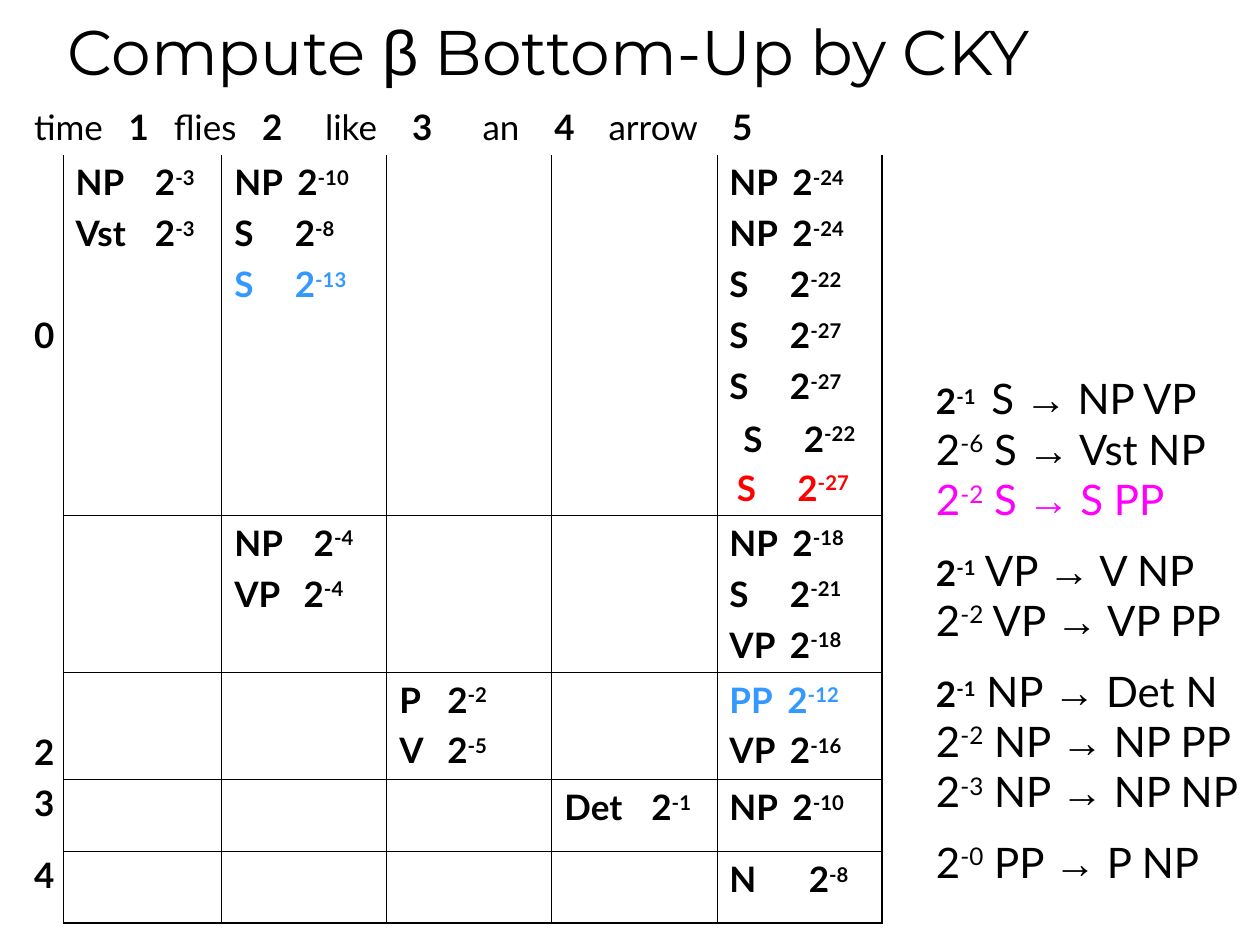
from dataclasses import dataclass
from typing import Optional

from lxml.etree import SubElement
from pptx import Presentation
from pptx.dml.color import RGBColor as Rgb
from pptx.enum.text import MSO_ANCHOR as Anchor, MSO_AUTO_SIZE as AutoSize, PP_ALIGN as Align
from pptx.oxml.ns import qn
from pptx.util import Inches, Pt

COLORS = {"black": "000000", "blue": "3399FF", "red": "FF0000", "magenta": "FF00FF"}
SLIDE_WIDTH, SLIDE_HEIGHT = Inches(10), Inches(7.5)
COLUMN_SHARES = [3.3, 12.6] + [13.1] * 4
ROW_SHARES = [5.87, 38.13, 16.53, 11.2, 7.6, 7.53]
THIN, THICK = 0.45, 1.08


@dataclass(frozen=True)
class Entry:
    symbol: str
    exponent: int
    stop: float = 0.48
    color: str = "black"
    indent: float = 0


@dataclass(frozen=True)
class Rule:
    exponent: str
    left: str
    right: str
    strong: bool = False
    color: str = "black"
    spacing: Optional[float] = None
    lead: str = " "


WORDS = [("time", 0), ("1", 0.75), ("flies", 1.11), ("2", 1.81), ("like", 2.31),
         ("3", 3.0), ("an", 3.56), ("4", 4.13), ("arrow", 4.56), ("5", 5.54)]

LABELS = {1: ("0", 1.26), 3: ("2", 0.47), 4: ("3", 0.02), 5: ("4", 0.02)}

CHART = {
    (1, 1): [Entry("NP", -3, 0.63), Entry("Vst", -3, 0.63)],
    (1, 2): [Entry("NP", -10, 0.5), Entry("S", -8), Entry("S", -13, color="blue")],
    (1, 5): [Entry("NP", -24, 0.5), Entry("NP", -24, 0.5), Entry("S", -22),
             Entry("S", -27), Entry("S", -27), Entry("S", -22, indent=0.11)],
    (2, 2): [Entry("NP", -4, 0.63), Entry("VP", -4, 0.55)],
    (2, 5): [Entry("NP", -18, 0.5), Entry("S", -21), Entry("VP", -18)],
    (3, 3): [Entry("P", -2, 0.38), Entry("V", -5, 0.38)],
    (3, 5): [Entry("PP", -12, 0.46, "blue"), Entry("VP", -16)],
    (4, 4): [Entry("Det", -1, 0.69)],
    (4, 5): [Entry("NP", -10, 0.5)],
    (5, 5): [Entry("N", -8, 0.63)],
}

RULES = [
    Rule("-1", "S", "NP VP", strong=True, lead="\t"),
    Rule("-6", "S", "Vst NP"),
    Rule("-2", "S", "S PP", color="magenta"),
    Rule("-1", "VP", "V NP", strong=True, spacing=1.4),
    Rule("-2", "VP", "VP PP"),
    Rule("-1", "NP", "Det N", strong=True, spacing=1.4),
    Rule("-2", "NP", "NP PP"),
    Rule("-3", "NP", "NP NP"),
    Rule("-0", "PP", "P NP", spacing=1.4),
]


def add_span(para, text: str, *, size: float = 20, font: str = "Lato", color: str = "black",
             bold: bool = False, raised: bool = False) -> None:
    """Append formatted text to a paragraph."""
    span = para.add_run()
    span.text = text
    span.font.size, span.font.name, span.font.bold = Pt(size), font, bold
    span.font.color.rgb = Rgb.from_string(COLORS[color])
    if raised:
        span.font._element.set("baseline", "30000")


def set_stops(para, stops: list[float]) -> None:
    """Give a paragraph left tab stops, in inches."""
    tabs = SubElement(para._p.get_or_add_pPr(), qn("a:tabLst"))
    for stop in stops:
        SubElement(tabs, qn("a:tab"), pos=str(Inches(stop)), algn="l")


def next_para(frame, index: int):
    """Return the first paragraph or a new one."""
    return frame.add_paragraph() if index else frame.paragraphs[0]


def add_box(page, left: float, top: float, width: float, height: float):
    """Add a wrapping text box placed in percent of the slide."""
    box = page.shapes.add_textbox(
        int(SLIDE_WIDTH * left / 100), int(SLIDE_HEIGHT * top / 100),
        int(SLIDE_WIDTH * width / 100), int(SLIDE_HEIGHT * height / 100))
    box.text_frame.word_wrap = True
    return box.text_frame


def write_entry(para, entry: Entry) -> None:
    """Write a symbol and its power of two."""
    stops = [entry.indent] if entry.indent else []
    set_stops(para, stops + [entry.indent + entry.stop])
    lead = "\t" if entry.indent else ""
    add_span(para, f"{lead}{entry.symbol}\t2", bold=True, color=entry.color)
    add_span(para, str(entry.exponent), bold=True, color=entry.color, raised=True)


def write_rule(para, rule: Rule) -> None:
    """Write a weighted grammar rule."""
    if rule.spacing:
        para.line_spacing = rule.spacing
    if rule.lead == "\t":
        set_stops(para, [0.44])
    weight = {"size": 20 if rule.strong else 24, "bold": rule.strong, "color": rule.color}
    add_span(para, "2", **weight)
    add_span(para, rule.exponent, raised=True, **weight)
    add_span(para, f"{rule.lead}{rule.left} ", size=24, color=rule.color)
    add_span(para, "→", size=24, font="Arial", color=rule.color)
    add_span(para, f" {rule.right}", size=24, color=rule.color)


def set_borders(cell, row: int, column: int) -> None:
    """Rule the chart cells and leave headings open."""
    inside = row > 0 and column > 0
    widths = {
        "L": THIN if inside else 0,
        "R": (THICK if column == 5 else THIN) if row else 0,
        "T": THIN if inside and row > 1 else 0,
        "B": (THICK if row == 5 else THIN) if inside else 0,
    }
    props = cell._tc.get_or_add_tcPr()
    for side, width in widths.items():
        line = SubElement(props, qn(f"a:ln{side}"), w=str(Pt(width)))
        if width:
            fill = SubElement(line, qn("a:solidFill"))
            SubElement(fill, qn("a:srgbClr"), val=COLORS["black"])
        else:
            SubElement(line, qn("a:noFill"))
    cell.fill.background()


def add_parse_table(page) -> None:
    """Add the table of spans with its words and labels."""
    widths = [int(SLIDE_WIDTH * share / 100) for share in COLUMN_SHARES]
    heights = [int(SLIDE_HEIGHT * share / 100) for share in ROW_SHARES]
    table = page.shapes.add_table(len(heights), len(widths), Inches(0.17), Inches(0.79),
                                  sum(widths), sum(heights)).table
    table.first_row = table.horz_banding = False
    for column, width in enumerate(widths):
        table.columns[column].width = width
    for row, height in enumerate(heights):
        table.rows[row].height = height
        for column in range(len(widths)):
            cell = table.cell(row, column)
            set_borders(cell, row, column)
            for index, entry in enumerate(CHART.get((row, column), [])):
                para = next_para(cell.text_frame, index)
                if index:
                    para.space_before = Pt(6 if entry.indent else 5)
                write_entry(para, entry)
    for row, (label, margin) in LABELS.items():
        cell = table.cell(row, 0)
        cell.margin_top = Inches(margin)
        para = cell.text_frame.paragraphs[0]
        para.alignment = Align.CENTER
        add_span(para, label, bold=True)
    table.cell(0, 0).merge(table.cell(0, 5))
    para = table.cell(0, 0).text_frame.paragraphs[0]
    set_stops(para, [stop for _, stop in WORDS if stop])
    for word, stop in WORDS:
        add_span(para, f"\t{word}" if stop else word, bold=word.isdigit())


def main() -> None:
    """Build and save the slide."""
    deck = Presentation()
    deck.slide_width, deck.slide_height = SLIDE_WIDTH, SLIDE_HEIGHT
    page = deck.slides.add_slide(deck.slide_layouts[6])
    add_parse_table(page)

    grammar = add_box(page, 73.3, 38.8, 26.7, 55.73)
    grammar.auto_size = AutoSize.SHAPE_TO_FIT_TEXT
    for index, rule in enumerate(RULES):
        write_rule(next_para(grammar, index), rule)

    title = add_box(page, 4.4, 0.8, 91.4, 9.2)
    title.vertical_anchor = Anchor.BOTTOM
    para = title.paragraphs[0]
    for text, font in [("Compute ", "Montserrat"), ("β", "Arial"),
                       (" Bottom-Up by CKY", "Montserrat")]:
        add_span(para, text, size=36, font=font)

    extra = add_box(page, 57.5, 48.67, 11.1, 5.87)
    extra.margin_right = 0
    write_entry(extra.paragraphs[0], Entry("S", -27, color="red"))
    deck.save("out.pptx")


if __name__ == "__main__":
    main()
